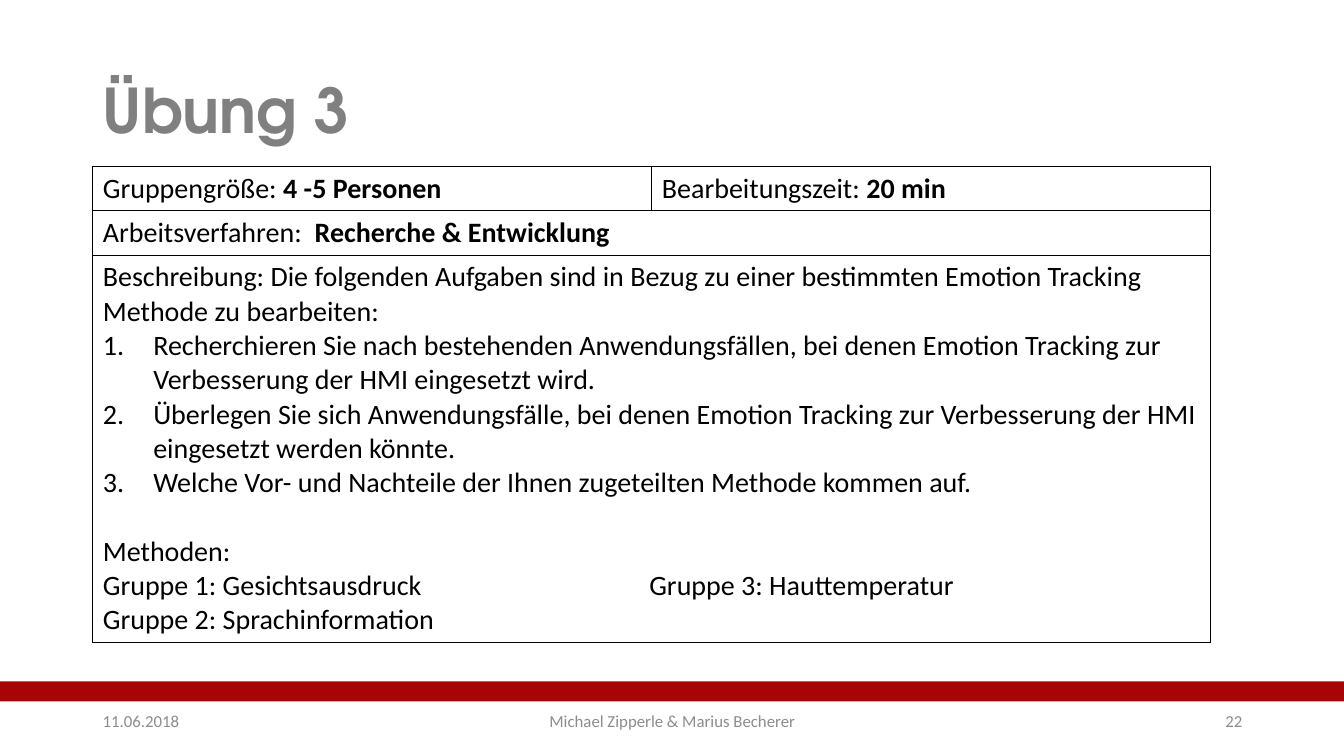
from dataclasses import dataclass

from lxml.etree import SubElement
from pptx import Presentation
from pptx.dml.color import RGBColor
from pptx.enum.shapes import MSO_SHAPE
from pptx.enum.text import MSO_ANCHOR, MSO_AUTO_SIZE, PP_ALIGN
from pptx.oxml import parse_xml
from pptx.oxml.ns import nsdecls, qn
from pptx.util import Inches, Pt


@dataclass(frozen=True)
class Theme:
    title_font: str = "TeX Gyre Adventor"
    body_font: str = "Calibri"
    title_size: int = 44
    body_size: int = 20
    footer_size: int = 12
    title_color: str = "808080"
    text_color: str = "000000"
    footer_color: str = "8C8C8C"
    bar_color: str = "A70505"
    border_color: str = "000000"
    border_width: int = 1


THEME = Theme()

GROUP_SIZE = [("Gruppengröße: ", False), ("4 -5 Personen", True)]
WORK_TIME = [("Bearbeitungszeit: ", False), ("20 min", True)]
WORK_METHOD = [("Arbeitsverfahren:  ", False), ("Recherche & Entwicklung", True)]
DESCRIPTION = (
    "Beschreibung: Die folgenden Aufgaben sind in Bezug zu einer bestimmten "
    "Emotion Tracking Methode zu bearbeiten:"
)
TASKS = [
    "Recherchieren Sie nach bestehenden Anwendungsfällen, bei denen Emotion "
    "Tracking zur Verbesserung der HMI eingesetzt wird.",
    "Überlegen Sie sich Anwendungsfälle, bei denen Emotion Tracking zur "
    "Verbesserung der HMI eingesetzt werden könnte.",
    "Welche Vor- und Nachteile der Ihnen zugeteilten Methode kommen auf.",
]
METHODS_HEADING = "Methoden:"
METHOD_GROUPS = [
    "Gruppe 1: Gesichtsausdruck\tGruppe 3: Hauttemperatur",
    "Gruppe 2: Sprachinformation",
]


def add_text(paragraph, text, *, font=THEME.body_font, size=THEME.body_size,
             color=THEME.text_color, bold=False, align=None):
    run = paragraph.add_run()
    run.text = text
    run.font.name = font
    run.font.size = Pt(size)
    run.font.bold = bold
    run.font.color.rgb = RGBColor.from_string(color)
    if align is not None:
        paragraph.alignment = align


def place(shape, left, top, width, height):
    shape.left, shape.top = Inches(left), Inches(top)
    shape.width, shape.height = Inches(width), Inches(height)


def add_title(slide, text):
    title = slide.shapes.title
    place(title, 0.92, 0.4, 11.5, 1.45)
    frame = title.text_frame
    frame.auto_size = MSO_AUTO_SIZE.NONE
    frame.vertical_anchor = MSO_ANCHOR.MIDDLE
    heading = frame.paragraphs[0]
    heading.line_spacing = 0.9
    add_text(heading, text, font=THEME.title_font, size=THEME.title_size,
             color=THEME.title_color, bold=True, align=PP_ALIGN.LEFT)


def add_bar(slide):
    bar = slide.shapes.add_shape(MSO_SHAPE.RECTANGLE, 0, Inches(6.76),
                                 Inches(13.33), Inches(0.2))
    bar.shadow.inherit = False
    bar.fill.solid()
    bar.fill.fore_color.rgb = RGBColor.from_string(THEME.bar_color)
    bar.line.fill.background()


def add_footer(slide, text, left, width, align):
    footer = slide.shapes.add_textbox(Inches(left), Inches(6.95),
                                      Inches(width), Inches(0.4))
    frame = footer.text_frame
    frame.word_wrap = True
    frame.vertical_anchor = MSO_ANCHOR.MIDDLE
    add_text(frame.paragraphs[0], text, size=THEME.footer_size,
             color=THEME.footer_color, align=align)


def style_cell(cell):
    """Clear the fill and draw all four borders."""
    cell.fill.background()
    properties = cell._tc.get_or_add_tcPr()
    for position, side in enumerate(("lnL", "lnR", "lnT", "lnB")):
        properties.insert(position, parse_xml(
            f'<a:{side} {nsdecls("a")} w="{Pt(THEME.border_width)}"><a:solidFill>'
            f'<a:srgbClr val="{THEME.border_color}"/></a:solidFill></a:{side}>'))


def number_paragraph(paragraph):
    properties = paragraph._p.get_or_add_pPr()
    properties.set("marL", str(Inches(0.5)))
    properties.set("indent", str(Inches(-0.5)))
    SubElement(properties, qn("a:buFont"), typeface="+mj-lt")
    SubElement(properties, qn("a:buAutoNum"), type="arabicPeriod")


def add_tab_stop(paragraph, position):
    tabs = SubElement(paragraph._p.get_or_add_pPr(), qn("a:tabLst"))
    SubElement(tabs, qn("a:tab"), pos=str(Inches(position)), algn="l")


def fill_description(frame):
    add_text(frame.paragraphs[0], DESCRIPTION)
    for task in TASKS:
        paragraph = frame.add_paragraph()
        number_paragraph(paragraph)
        add_text(paragraph, task)
    heading = frame.add_paragraph()
    heading.space_before = Pt(24.4)
    add_text(heading, METHODS_HEADING)
    for groups in METHOD_GROUPS:
        paragraph = frame.add_paragraph()
        add_tab_stop(paragraph, 5.42)
        add_text(paragraph, groups)


def add_exercise_table(slide):
    row_heights = (0.44, 0.44, 3.84)
    table = slide.shapes.add_table(3, 2, Inches(0.92), Inches(1.65),
                                   Inches(11.09), Inches(sum(row_heights))).table
    table.first_row = table.horz_banding = False
    for row, height in zip(table.rows, row_heights):
        row.height = Inches(height)
    for cell in table.iter_cells():
        style_cell(cell)
    for row in (1, 2):
        table.cell(row, 0).merge(table.cell(row, 1))
    facts = {(0, 0): GROUP_SIZE, (0, 1): WORK_TIME, (1, 0): WORK_METHOD}
    for position, parts in facts.items():
        paragraph = table.cell(*position).text_frame.paragraphs[0]
        for text, bold in parts:
            add_text(paragraph, text, bold=bold)
    fill_description(table.cell(2, 0).text_frame)


def main():
    deck = Presentation()
    deck.slide_width, deck.slide_height = Inches(13.33), Inches(7.5)
    slide = deck.slides.add_slide(deck.slide_layouts[5])
    add_bar(slide)
    add_title(slide, "Übung 3")
    add_exercise_table(slide)
    add_footer(slide, "11.06.2018", 0.92, 3, PP_ALIGN.LEFT)
    add_footer(slide, "22", 9.42, 3, PP_ALIGN.RIGHT)
    add_footer(slide, "Michael Zipperle & Marius Becherer", 4.42, 4.5,
               PP_ALIGN.CENTER)
    deck.save("out.pptx")


if __name__ == "__main__":
    main()
